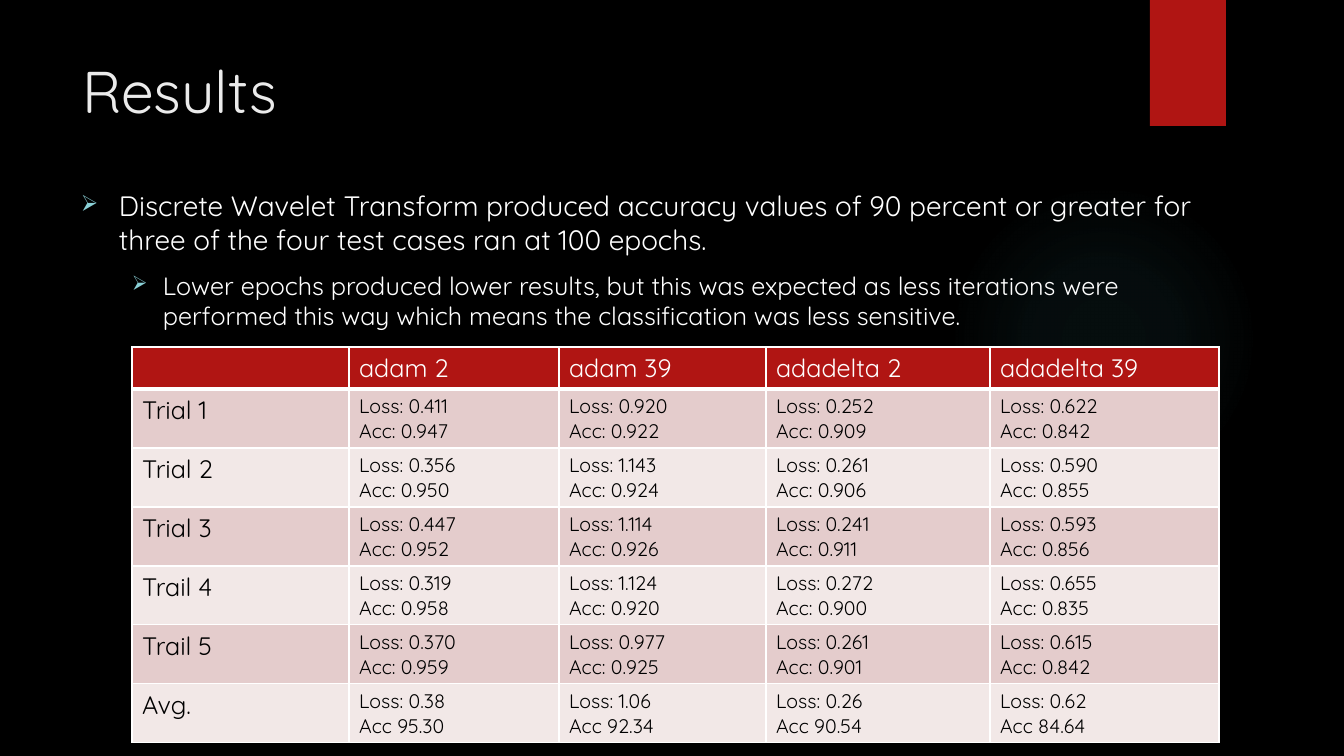
from dataclasses import dataclass

from lxml import etree
from pptx import Presentation
from pptx import util as u
from pptx.dml.color import RGBColor
from pptx.enum import shapes, text
from pptx.oxml import parse_xml
from pptx.oxml.ns import nsdecls, qn

PX = 914400 / 100.8  # EMU in one px
FONT = "Quicksand"

BLACK = RGBColor(0x00, 0x00, 0x00)
WHITE = RGBColor(0xFF, 0xFF, 0xFF)
TITLE_GREY = RGBColor(0xEB, 0xEB, 0xEB)
RED = RGBColor(0xB0, 0x15, 0x13)
TEAL = RGBColor(0x50, 0xB9, 0xC1)
BULLET_TEAL = RGBColor(0x8A, 0xD0, 0xD6)
BANDS = (RGBColor(0xE4, 0xCC, 0xCC), RGBColor(0xF2, 0xE8, 0xE7))


@dataclass
class Bullet:
    words: str
    level: int
    size: int
    margin: int
    hanging: int


@dataclass
class ResultRow:
    label: str
    cells: list[tuple[str, ...]]


BULLETS = [
    Bullet("Discrete Wavelet Transform produced accuracy values of 90 percent or "
           "greater for three of the four test cases ran at 100 epochs.", 0, 20, 38, 38),
    Bullet("Lower epochs produced lower results, but this was expected as less "
           "iterations were performed this way which means the classification was "
           "less sensitive.", 1, 18, 82, 31),
]

HEADINGS = ["", "adam 2", "adam 39", "adadelta 2", "adadelta 39"]
COLUMN_WIDTHS = [217, 210, 207, 224, 229]
HEADER_HEIGHT, ROW_HEIGHT = 42, 59


def trial(label: str, *values: tuple[str, str], mark: str = "Acc:") -> ResultRow:
    return ResultRow(label, [(f"Loss: {loss}", f"{mark} {acc}") for loss, acc in values])


RESULTS = [
    trial("Trial 1", ("0.411", "0.947"), ("0.920", "0.922"), ("0.252", "0.909"), ("0.622", "0.842")),
    trial("Trial 2", ("0.356", "0.950"), ("1.143", "0.924"), ("0.261", "0.906"), ("0.590", "0.855")),
    trial("Trial 3", ("0.447", "0.952"), ("1.114", "0.926"), ("0.241", "0.911"), ("0.593", "0.856")),
    trial("Trail 4", ("0.319", "0.958"), ("1.124", "0.920"), ("0.272", "0.900"), ("0.655", "0.835")),
    trial("Trail 5", ("0.370", "0.959"), ("0.977", "0.925"), ("0.261", "0.901"), ("0.615", "0.842")),
    trial("Avg.", ("0.38", "95.30"), ("1.06", "92.34"), ("0.26", "90.54"), ("0.62", "84.64"), mark="Acc"),
]


def px(length: int) -> u.Emu:
    return u.Emu(round(length * PX))


def box(left: int, top: int, width: int, height: int) -> tuple[u.Emu, ...]:
    return px(left), px(top), px(width), px(height)


def add_run(paragraph, words: str, size: int, color: RGBColor) -> None:
    run = paragraph.add_run()
    run.text = words
    run.font.name = FONT
    run.font.size = u.Pt(size)
    run.font.color.rgb = color


def add_plain_shape(slide, kind, *place: int):
    shape = slide.shapes.add_shape(kind, *box(*place))
    shape.shadow.inherit = False
    shape.line.fill.background()
    return shape


def add_glow(slide) -> None:
    glow = add_plain_shape(slide, shapes.MSO_SHAPE.OVAL, 949, 184, 310, 310)
    stops = "".join(
        f'<a:gs pos="{position * 1000}"><a:srgbClr val="{TEAL}">'
        f'<a:alpha val="{opacity * 1000}"/></a:srgbClr></a:gs>'
        for position, opacity in ((0, 7), (36, 6), (69, 0), (100, 0)))
    gradient = parse_xml(
        f'<a:gradFill {nsdecls("a")} rotWithShape="1"><a:gsLst>{stops}</a:gsLst>'
        '<a:path path="circle"><a:fillToRect l="50000" t="50000" r="50000" b="50000"/>'
        '</a:path></a:gradFill>')
    glow._element.spPr.find(qn("a:prstGeom")).addnext(gradient)


def add_bullet(paragraph, bullet: Bullet) -> None:
    paragraph.level = bullet.level
    paragraph.space_before = u.Pt(10)
    add_run(paragraph, bullet.words, bullet.size, WHITE)
    properties = paragraph._p.get_or_add_pPr()
    properties.set("marL", str(px(bullet.margin)))
    properties.set("indent", str(-px(bullet.hanging)))
    color = etree.SubElement(properties, qn("a:buClr"))
    etree.SubElement(color, qn("a:srgbClr"), val=str(BULLET_TEAL))
    etree.SubElement(properties, qn("a:buSzPct"), val="80000")
    etree.SubElement(properties, qn("a:buChar"), char="➢")


def fill_cell(cell, lines: tuple[str, ...], size: int, color: RGBColor,
              fill: RGBColor, top: int = 1, bottom: int = 1) -> None:
    cell.fill.solid()
    cell.fill.fore_color.rgb = fill
    borders = (("L", 1), ("R", 1), ("T", top), ("B", bottom))
    for index, (side, width) in enumerate(borders):
        border = parse_xml(
            f'<a:ln{side} {nsdecls("a")} w="{u.Pt(width)}"><a:solidFill>'
            f'<a:srgbClr val="{WHITE}"/></a:solidFill></a:ln{side}>')
        cell._tc.get_or_add_tcPr().insert(index, border)
    frame = cell.text_frame
    for index, line in enumerate(lines):
        paragraph = frame.add_paragraph() if index else frame.paragraphs[0]
        if line:
            add_run(paragraph, line, size, color)


def add_results_table(slide) -> None:
    height = HEADER_HEIGHT + ROW_HEIGHT * len(RESULTS)
    table = slide.shapes.add_table(
        len(RESULTS) + 1, len(HEADINGS), *box(132, 347, sum(COLUMN_WIDTHS), height)).table
    for column, width in zip(table.columns, COLUMN_WIDTHS):
        column.width = px(width)
    for index, row in enumerate(table.rows):
        row.height = px(ROW_HEIGHT if index else HEADER_HEIGHT)
    for column, heading in enumerate(HEADINGS):
        fill_cell(table.cell(0, column), (heading,), 18, WHITE, RED, bottom=3)
    for index, result in enumerate(RESULTS):
        band = BANDS[index % 2]
        top = 1 if index else 3
        fill_cell(table.cell(index + 1, 0), (result.label,), 18, BLACK, band, top)
        for column, lines in enumerate(result.cells, start=1):
            fill_cell(table.cell(index + 1, column), lines, 14, BLACK, band, top)


def main() -> None:
    presentation = Presentation()
    presentation.slide_width, presentation.slide_height = px(1344), px(756)
    slide = presentation.slides.add_slide(presentation.slide_layouts[5])

    # Background and decoration
    slide.background.fill.solid()
    slide.background.fill.fore_color.rgb = BLACK
    add_glow(slide)
    ribbon = add_plain_shape(slide, shapes.MSO_SHAPE.RECTANGLE, 1150, 0, 76, 126)
    ribbon.fill.solid()
    ribbon.fill.fore_color.rgb = RED

    # Title
    title = slide.shapes.title
    title.left, title.top, title.width, title.height = box(72, 50, 1037, 117)
    title.text_frame.vertical_anchor = text.MSO_ANCHOR.TOP
    title.text_frame.auto_size = text.MSO_AUTO_SIZE.NONE
    heading = title.text_frame.paragraphs[0]
    heading.alignment = text.PP_ALIGN.LEFT
    add_run(heading, "Results", 42, TITLE_GREY)

    # Findings
    findings = slide.shapes.add_textbox(*box(71, 184, 1153, 463)).text_frame
    findings.word_wrap = True
    for index, bullet in enumerate(BULLETS):
        paragraph = findings.add_paragraph() if index else findings.paragraphs[0]
        add_bullet(paragraph, bullet)

    # Trial results
    add_results_table(slide)
    presentation.save("out.pptx")


if __name__ == "__main__":
    main()
